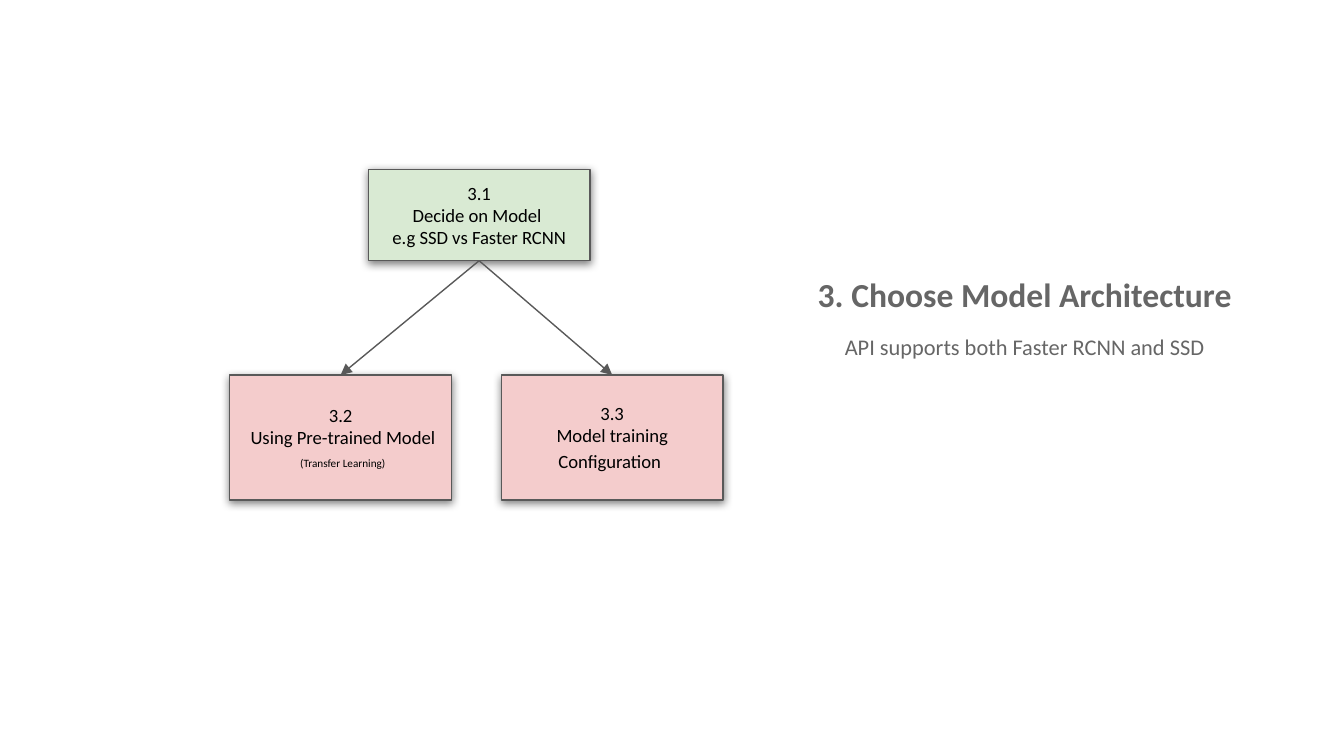
from dataclasses import dataclass

from lxml import etree
from pptx import Presentation
from pptx import util as u
from pptx.dml.color import RGBColor
from pptx.enum import shapes, text
from pptx.oxml.ns import qn

COLORS = {
    "decision": "D9EAD3",
    "task": "F4CCCC",
    "line": "595959",
    "label": "000000",
    "heading": "666666",
    "shadow": "000000",
}
FONT = "Calibri"
SLIDE_WIDTH = 10
SLIDE_HEIGHT = SLIDE_WIDTH * 9 / 16
STEP_WIDTH = 1.65
TASK_TOP, TASK_HEIGHT = 2.79, 0.93


@dataclass
class Run:
    words: str
    size: float = 10
    color: str = "label"
    bold: bool = False


@dataclass
class Step:
    left: float
    top: float
    height: float
    fill: str
    lines: list[list[Run]]


def write_lines(frame, lines: list[list[Run]], space_before: float = 0) -> None:
    """Fill a text frame with centred paragraphs, run by run."""
    frame.word_wrap = True
    frame.vertical_anchor = text.MSO_ANCHOR.MIDDLE
    frame.margin_left = frame.margin_right = u.Inches(0.1)
    frame.margin_top = frame.margin_bottom = u.Inches(0.1)
    for index, runs in enumerate(lines):
        paragraph = frame.paragraphs[0] if index == 0 else frame.add_paragraph()
        paragraph.alignment = text.PP_ALIGN.CENTER
        if index and space_before:
            paragraph.space_before = u.Pt(space_before)
        for item in runs:
            run = paragraph.add_run()
            run.text = item.words
            run.font.name = FONT
            run.font.size = u.Pt(item.size)
            run.font.bold = item.bold
            run.font.color.rgb = RGBColor.from_string(COLORS[item.color])


def style_line(line) -> None:
    line.color.rgb = RGBColor.from_string(COLORS["line"])
    line.width = u.Pt(0.75)


def add_drop_shadow(shape) -> None:
    """Replace the theme shadow with a soft one straight below."""
    shape.shadow.inherit = False
    effects = shape._element.spPr.find(qn("a:effectLst"))
    shadow = etree.SubElement(
        effects, qn("a:outerShdw"), blurRad=str(u.Pt(4.5)), dist=str(u.Pt(1.5)),
        dir=str(90 * 60000), algn="bl", rotWithShape="0")
    color = etree.SubElement(shadow, qn("a:srgbClr"), val=COLORS["shadow"])
    etree.SubElement(color, qn("a:alpha"), val="50000")


def add_step(slide, step: Step):
    box = slide.shapes.add_shape(
        shapes.MSO_SHAPE.RECTANGLE, u.Inches(step.left), u.Inches(step.top),
        u.Inches(STEP_WIDTH), u.Inches(step.height))
    box.fill.solid()
    box.fill.fore_color.rgb = RGBColor.from_string(COLORS[step.fill])
    style_line(box.line)
    add_drop_shadow(box)
    write_lines(box.text_frame, step.lines)
    return box


def add_arrow(slide, source, target) -> None:
    """Join the bottom of one box to the top of another."""
    arrow = slide.shapes.add_connector(shapes.MSO_CONNECTOR.STRAIGHT, 0, 0, 0, 0)
    arrow.begin_connect(source, 2)
    arrow.end_connect(target, 0)
    style_line(arrow.line)
    etree.SubElement(arrow.line._get_or_add_ln(), qn("a:tailEnd"), type="triangle")
    etree.SubElement(arrow._element.spPr, qn("a:effectLst"))


def main() -> None:
    prs = Presentation()
    prs.slide_width = u.Inches(SLIDE_WIDTH)
    prs.slide_height = u.Inches(SLIDE_HEIGHT)
    slide = prs.slides.add_slide(prs.slide_layouts[6])

    # Flow: one decision leading to two tasks
    decision = add_step(slide, Step(2.74, 1.26, 0.68, "decision", [
        [Run("3.1")],
        [Run("Decide on Model ")],
        [Run("e.g SSD vs Faster RCNN")],
    ]))
    tasks = [
        Step(1.71, TASK_TOP, TASK_HEIGHT, "task", [
            [Run("3.2")],
            [Run(" Using Pre-trained Model")],
            [Run(" "), Run("(Transfer Learning)", size=6)],
        ]),
        Step(3.73, TASK_TOP, TASK_HEIGHT, "task", [
            [Run("3.3")],
            [Run("Model training Configuration"), Run(" ", size=12)],
        ]),
    ]
    task_boxes = [add_step(slide, task) for task in tasks]
    for task_box in task_boxes:
        add_arrow(slide, decision, task_box)

    # Heading and subtitle
    heading = slide.shapes.add_textbox(
        u.Inches(5.95), u.Inches(2.02), u.Inches(3.35), u.Inches(0.68))
    write_lines(heading.text_frame, [
        [Run("3. Choose Model Architecture", 18, "heading", True)],
        [Run("API supports both Faster RCNN and SSD", 12, "heading")],
    ], space_before=10)

    prs.save("out.pptx")


if __name__ == "__main__":
    main()
